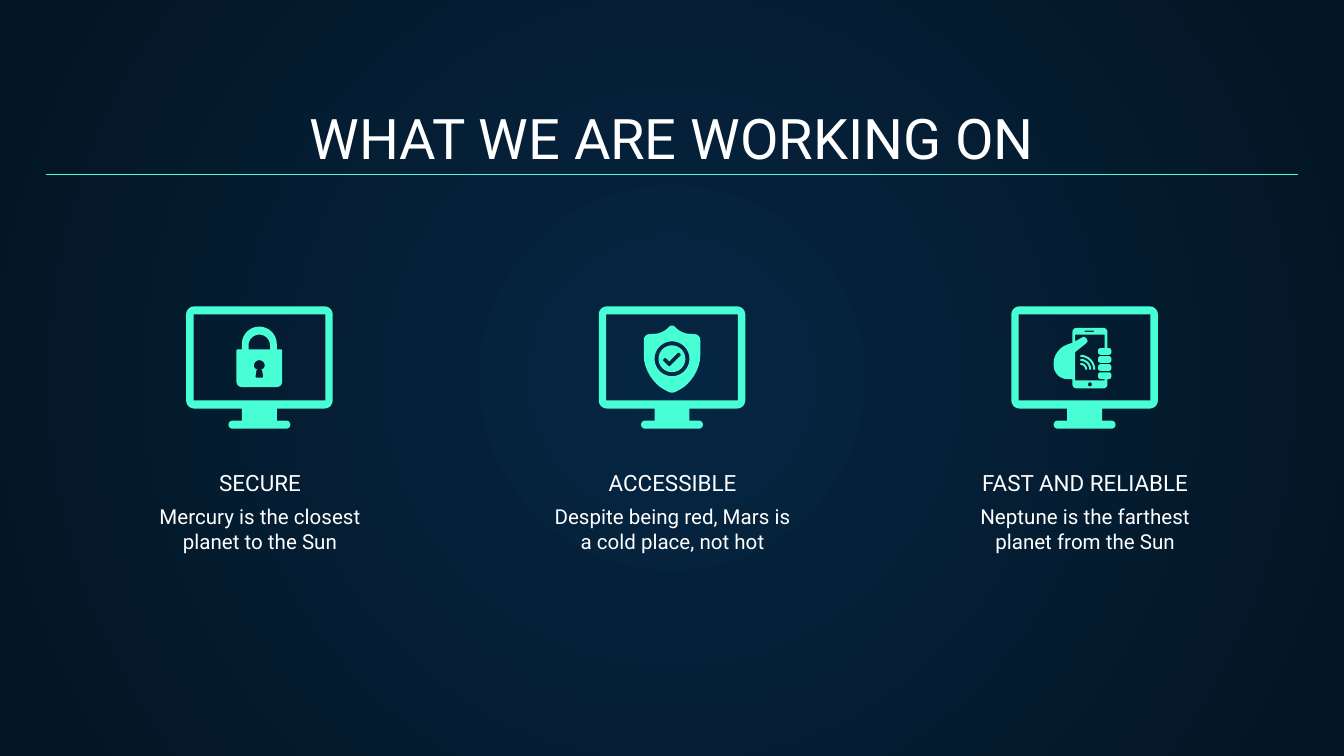
from math import hypot
from lxml.etree import SubElement
from pptx import Presentation
from pptx.dml.color import RGBColor
from pptx.enum.shapes import MSO_CONNECTOR as Connector
from pptx.enum.text import MSO_ANCHOR as Anchor, PP_ALIGN as Align
from pptx.oxml.ns import qn
from pptx.util import Inches, Pt

STEP = 3.07
FIRST_CENTER = 1.93


def color(code):
    return RGBColor.from_string(code)


def toward(start, end, length):
    dx, dy = end[0] - start[0], end[1] - start[1]
    ratio = length / hypot(dx, dy)
    return start[0] + dx * ratio, start[1] + dy * ratio


def rounded(corners, steps=8):
    points = []
    for index, (x, y, *radius) in enumerate(corners):
        if not radius:
            points.append((x, y))
            continue
        corner = (x, y)
        before, after = corners[index - 1], corners[(index + 1) % len(corners)]
        a, d = (toward(corner, side, radius[0]) for side in (before, after))
        b, c = (toward(corner, side, radius[0] * 0.45) for side in (before, after))
        for step in range(steps + 1):
            t = step / steps
            u = 1 - t
            points.append(tuple(
                u**3 * a[k] + 3 * u * u * t * b[k] + 3 * u * t * t * c[k] + t**3 * d[k]
                for k in (0, 1)))
    return points


def rectangle(left, top, right, bottom, radius=0):
    corners = [(left, top), (right, top), (right, bottom), (left, bottom)]
    return [(x, y, radius) for x, y in corners] if radius else corners


def circle(x, y, radius):
    return rectangle(x - radius, y - radius, x + radius, y + radius, radius)


def mirrored(half):
    return half + [(-x, *rest) for x, *rest in reversed(half) if x]


def signal_arc(outer, x=-0.03, y=2.75):
    inner = outer - 0.015
    return [(x, y - outer), (x + outer, y - outer, outer), (x + outer, y),
            (x + inner, y), (x + inner, y - inner, inner), (x, y - inner)]


MONITOR = [
    mirrored([(0.545, 2.28, 0.06), (0.545, 3.04, 0.06), (0.13, 3.04), (0.13, 3.13),
              (0.23, 3.13, 0.03), (0.23, 3.19, 0.03)]),
    rectangle(-0.49, 2.34, 0.49, 2.98),
]
LOCK = [
    mirrored([(0.13, 2.43, 0.13), (0.13, 2.6), (0.17, 2.6, 0.01), (0.17, 2.88, 0.04)]),
    mirrored([(0.08, 2.49, 0.08), (0.08, 2.6)]),
    mirrored([(0.04, 2.68, 0.04), (0.04, 2.75, 0.03), (0.02, 2.75), (0.03, 2.81, 0.01)]),
]
SHIELD = [
    mirrored([(0, 2.41, 0.03), (0.07, 2.48, 0.05), (0.21, 2.49, 0.04),
              (0.21, 2.82, 0.17), (0, 2.93, 0.03)]),
    circle(0, 2.67, 0.13),
]
CHECK = [
    circle(0, 2.67, 0.1),
    [(0.05, 2.62, 0.01), (0.07, 2.64, 0.01), (-0.02, 2.73, 0.01),
     (-0.07, 2.68, 0.01), (-0.05, 2.66, 0.01), (-0.02, 2.69)],
]
PHONE_IN_HAND = [
    [(-0.09, 2.44, 0.03), (0.17, 2.44, 0.03), (0.17, 2.59), (0.2, 2.59, 0.02),
     (0.2, 2.64, 0.02), (0.1, 2.64, 0.02), (0.1, 2.59, 0.02), (0.15, 2.59),
     (0.15, 2.49), (-0.07, 2.49), (-0.07, 2.54), (0, 2.5, 0.02), (0.03, 2.54, 0.02),
     (-0.07, 2.62), (-0.07, 2.83), (0.15, 2.83), (0.15, 2.82), (0.1, 2.82, 0.02),
     (0.1, 2.77, 0.02), (0.2, 2.77, 0.02), (0.2, 2.82, 0.02), (0.17, 2.82),
     (0.17, 2.89, 0.03), (-0.09, 2.89, 0.03), (-0.09, 2.82), (-0.23, 2.82, 0.1),
     (-0.23, 2.6, 0.1), (-0.09, 2.55)],
    rectangle(0.1, 2.65, 0.2, 2.7, 0.02),
    rectangle(0.1, 2.71, 0.2, 2.76, 0.02),
    rectangle(0, 2.46, 0.07, 2.47),
    circle(0.04, 2.86, 0.015),
    *[signal_arc(radius) for radius in (0.11, 0.08, 0.05)],
]
TOPICS = [
    ("SECURE", "Mercury is the closest planet to the Sun", [LOCK]),
    ("ACCESSIBLE", "Despite being red, Mars is a cold place, not hot", [CHECK, SHIELD]),
    ("FAST AND RELIABLE", "Neptune is the farthest planet from the Sun", [PHONE_IN_HAND]),
]


class Painter:
    font = "Roboto"
    ink = "FFFFFF"
    accent = "48FFD5"

    def __init__(self, page):
        self.page = page

    def background(self, center, edge):
        fill = self.page.background.fill
        fill.gradient()
        for stop, code in zip(fill.gradient_stops, (center, edge)):
            stop.color.rgb = color(code)
        gradient = self.page._element.find(".//" + qn("a:gradFill"))
        gradient.remove(gradient.find(qn("a:lin")))
        circle_shade = SubElement(gradient, qn("a:path"), path="circle")
        SubElement(circle_shade, qn("a:fillToRect"), l="50000", t="50000", r="50000", b="50000")

    def text(self, words, left, top, width, height, size, anchor=Anchor.BOTTOM):
        box = self.page.shapes.add_textbox(*map(Inches, (left, top, width, height)))
        frame = box.text_frame
        frame.word_wrap = True
        frame.vertical_anchor = anchor
        frame.margin_left = frame.margin_right = Inches(0.1)
        frame.margin_top = frame.margin_bottom = Inches(0.1)
        para = frame.paragraphs[0]
        para.alignment = Align.CENTER
        span = para.add_run()
        span.text = words
        span.font.name = self.font
        span.font.size = Pt(size)
        span.font.color.rgb = color(self.ink)

    def icon(self, contours, center):
        outlines = [[(Inches(center + x), Inches(y)) for x, y in rounded(contour)]
                    for contour in contours]
        builder = self.page.shapes.build_freeform(*outlines[0][0])
        for index, outline in enumerate(outlines):
            if index:
                builder.move_to(*outline[0])
            builder.add_line_segments(outline[1:], close=True)
        shape = builder.convert_to_shape()
        shape.shadow.inherit = False
        shape.fill.solid()
        shape.fill.fore_color.rgb = color(self.accent)
        shape.line.fill.background()

    def rule(self, left, right, y):
        line = self.page.shapes.add_connector(
            Connector.STRAIGHT, *map(Inches, (left, y, right, y)))
        line.line.color.rgb = color(self.accent)
        line.line.width = Pt(0.75)
        SubElement(line._element.spPr, qn("a:effectLst"))


def main():
    deck = Presentation()
    deck.slide_width = Inches(10)
    deck.slide_height = deck.slide_width * 9 // 16
    painter = Painter(deck.slides.add_slide(deck.slide_layouts[6]))
    painter.background("052643", "041523")
    painter.text("WHAT WE ARE WORKING ON", 0.34, 0.71, 9.32, 0.66, 30)
    for column, (heading, detail, symbols) in enumerate(TOPICS):
        center = FIRST_CENTER + column * STEP
        painter.text(detail, center - 1.03, 3.65, 2.07, 0.55, 11, Anchor.TOP)
        painter.text(heading, center - 1.13, 3.58, 2.27, 0.21, 12)
        for contours in [MONITOR, *symbols]:
            painter.icon(contours, center)
    painter.rule(0.34, 9.66, 1.3)
    deck.save("out.pptx")


if __name__ == "__main__":
    main()
